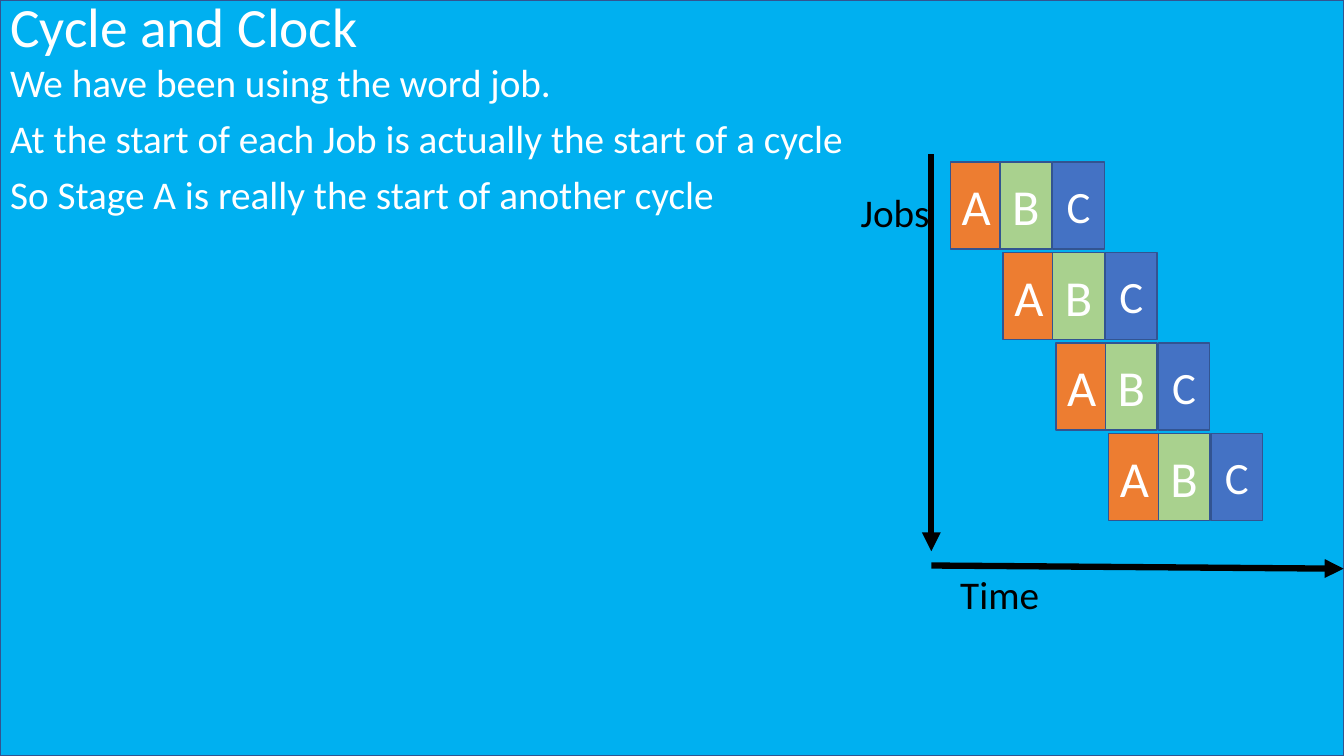
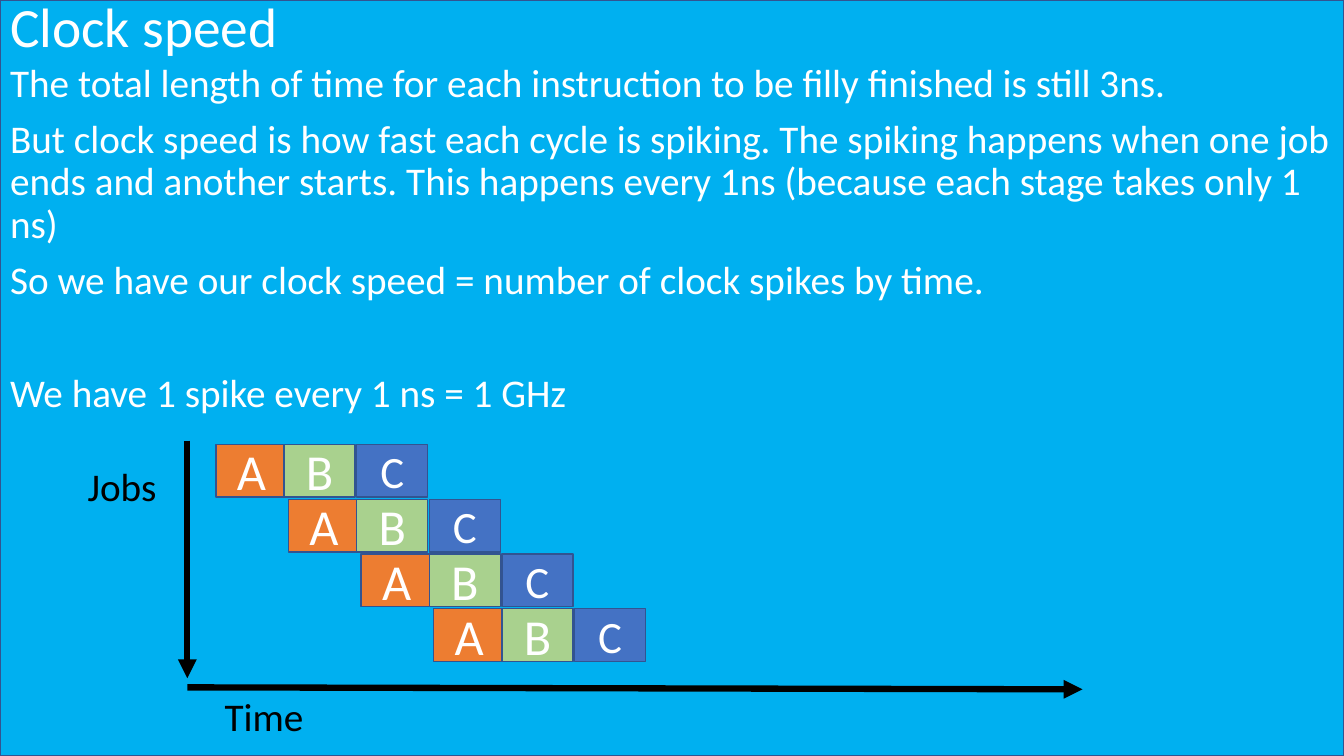
"""Build two slides that explain cycles and clock speed with a staggered job diagram."""
from lxml.etree import SubElement
from pptx import Presentation
from pptx.dml.color import RGBColor
from pptx.enum.shapes import MSO_CONNECTOR, MSO_SHAPE
from pptx.enum.text import MSO_ANCHOR, MSO_AUTO_SIZE, PP_ALIGN
from pptx.oxml.ns import qn
from pptx.util import Cm, Pt

FONT = "Calibri"
COLORS = {
    "background": "00B0F0", "outline": "325491", "white": "FFFFFF", "black": "000000",
    "A": "ED7D31", "B": "A9D18E", "C": "4472C4",
}
WIDTH, HEIGHT, TITLE_HEIGHT = 33.87, 19.05, 1.47
JOB_COUNT = 4
STAGES = [("A", 36, 0), ("B", 36, 0.94), ("C", 32, 1.94)]

SLIDES = [
    {
        "title": "Cycle and Clock",
        "body": [
            ("We have been using the word job.", 0),
            ("At the start of each Job is actually the start of a cycle", 10),
            ("So Stage A is really the start of another cycle", 10),
        ],
        "axes": [(23.47, 3.89, 23.47, 13.89), (23.47, 14.25, 33.86, 14.33)],
        "labels": [("Jobs", 21.44, 4.62), ("Time", 23.95, 14.25)],
        "start": (23.95, 4.08), "step": (1.33, 2.28), "box": (1.3, 2.2),
    },
    {
        "title": "Clock speed",
        "body": [
            ("The total length of time for each instruction to be filly finished is still 3ns.", 0),
            ("But clock speed is how fast each cycle is spiking. The spiking happens when one job "
             "ends and another starts. This happens every 1ns (because each stage takes only 1 ns)", 10),
            ("So we have our clock speed = number of clock spikes by time.", 10),
            ("We have 1 spike every 1 ns = 1 GHz", 50),
        ],
        "axes": [(4.72, 11.1, 4.72, 17.09), (4.72, 17.32, 27.28, 17.37)],
        "labels": [("Jobs", 1.96, 11.53), ("Time", 5.41, 17.32)],
        "start": (5.44, 11.2), "step": (1.83, 1.38), "box": (1.79, 1.33),
    },
]


def rgb(name):
    return RGBColor.from_string(COLORS[name])


def add_run(p, text, size, color="white"):
    r = p.add_run()
    r.text = text
    r.font.name, r.font.size, r.font.color.rgb = FONT, Pt(size), rgb(color)


def place(sp, *box):
    sp.left, sp.top, sp.width, sp.height = map(Cm, box)


def add_box(s, fill, *box):
    sp = s.shapes.add_shape(MSO_SHAPE.RECTANGLE, *map(Cm, box))
    sp.shadow.inherit = False
    sp.fill.solid()
    sp.fill.fore_color.rgb = rgb(fill)
    sp.line.color.rgb, sp.line.width = rgb("outline"), Pt(1)
    return sp


def add_background(s):
    sp = add_box(s, "background", 0, 0, WIDTH, HEIGHT)
    s.slide_layout.shapes.element.insert(2, sp.element)


def fill_title(s, text):
    sp = s.shapes.title
    place(sp, 0, 0, WIDTH, TITLE_HEIGHT)
    tf = sp.text_frame
    tf.auto_size, tf.vertical_anchor = MSO_AUTO_SIZE.NONE, MSO_ANCHOR.MIDDLE
    p = tf.paragraphs[0]
    p.alignment, p.line_spacing = PP_ALIGN.LEFT, 0.9
    add_run(p, text, 39.6)


def fill_body(s, lines):
    sp = s.placeholders[1]
    place(sp, 0, TITLE_HEIGHT, WIDTH, HEIGHT - TITLE_HEIGHT)
    tf = sp.text_frame
    tf.auto_size = MSO_AUTO_SIZE.NONE
    for i, (text, before) in enumerate(lines):
        p = tf.add_paragraph() if i else tf.paragraphs[0]
        pPr = p._p.get_or_add_pPr()
        pPr.set("marL", "0")
        pPr.set("indent", "0")
        SubElement(pPr, qn("a:buNone"))
        p.line_spacing, p.space_before = 0.9, Pt(before)
        add_run(p, text, 28)


def add_axis(s, *ends):
    line = s.shapes.add_connector(MSO_CONNECTOR.STRAIGHT, *map(Cm, ends))
    line.line.color.rgb, line.line.width = rgb("black"), Pt(4.5)
    spPr = line.element.spPr
    SubElement(spPr.find(qn("a:ln")), qn("a:tailEnd"), type="triangle")
    SubElement(spPr, qn("a:effectLst"))


def add_label(s, text, left, top):
    tf = s.shapes.add_textbox(Cm(left), Cm(top), Cm(3.81), Cm(1.44)).text_frame
    tf.word_wrap = True
    add_run(tf.paragraphs[0], text, 28, "black")


def add_jobs(s, start, step, box):
    for job in range(JOB_COUNT):
        for stage, size, offset in STAGES:
            left = start[0] + step[0] * (job + offset)
            sp = add_box(s, stage, left, start[1] + step[1] * job, *box)
            tf = sp.text_frame
            tf.vertical_anchor = MSO_ANCHOR.MIDDLE
            p = tf.paragraphs[0]
            p.alignment = PP_ALIGN.CENTER
            add_run(p, stage, size)


def main():
    prs = Presentation()
    prs.slide_width, prs.slide_height = Cm(WIDTH), Cm(HEIGHT)
    layout = prs.slide_layouts[1]
    for i, content in enumerate(SLIDES):
        s = prs.slides.add_slide(layout)
        if i == 0:
            add_background(s)
        fill_title(s, content["title"])
        fill_body(s, content["body"])
        for ends in content["axes"]:
            add_axis(s, *ends)
        for label in content["labels"]:
            add_label(s, *label)
        add_jobs(s, content["start"], content["step"], content["box"])
    prs.save("out.pptx")


if __name__ == "__main__":
    main()
